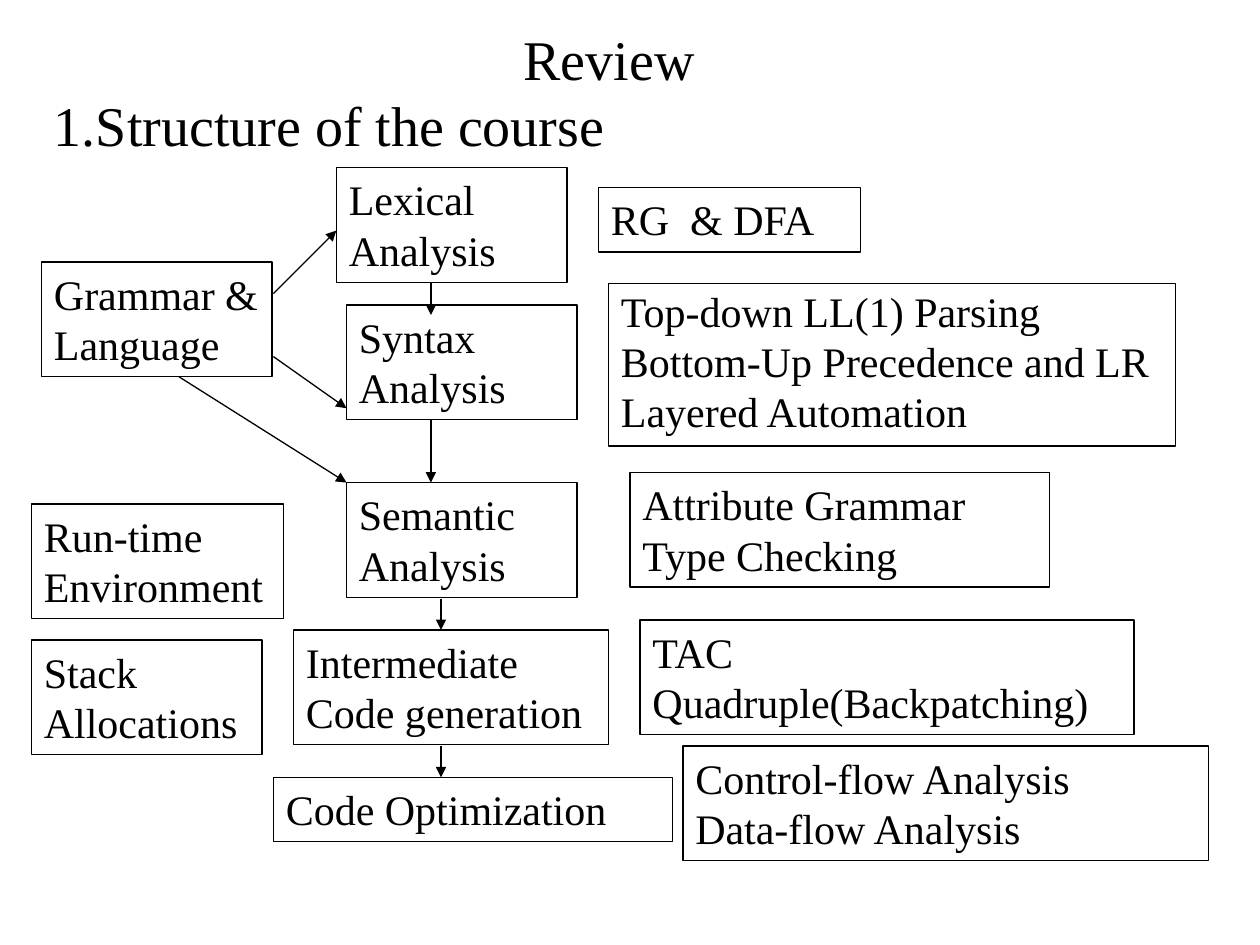
from dataclasses import dataclass

from lxml import etree
from pptx import Presentation
from pptx.dml.color import RGBColor
from pptx.enum.shapes import MSO_CONNECTOR, MSO_SHAPE
from pptx.enum.text import MSO_ANCHOR, MSO_AUTO_SIZE, PP_ALIGN
from pptx.oxml.ns import qn
from pptx.util import Inches, Pt


@dataclass(frozen=True)
class Theme:
    font: str = "Times New Roman"
    ink: RGBColor = RGBColor(0, 0, 0)
    heading_size: Pt = Pt(32)
    box_size: Pt = Pt(24)
    line_width: Pt = Pt(0.75)


class CourseSlide:
    def __init__(self, slide, theme):
        self.slide = slide
        self.theme = theme

    def add_text(self, paragraph, text, size):
        run = paragraph.add_run()
        run.text = text
        run.font.name = self.theme.font
        run.font.size = size
        run.font.color.rgb = self.theme.ink

    def title(self, text, left, top, width, height):
        heading = self.slide.shapes.title
        heading.left, heading.top = Inches(left), Inches(top)
        heading.width, heading.height = Inches(width), Inches(height)
        frame = heading.text_frame
        frame.auto_size = MSO_AUTO_SIZE.NONE
        frame.vertical_anchor = MSO_ANCHOR.MIDDLE
        frame.paragraphs[0].alignment = PP_ALIGN.CENTER
        self.add_text(frame.paragraphs[0], text, self.theme.heading_size)

    def subtitle(self, text, left, top, width, height):
        heading = self.slide.shapes.add_textbox(
            Inches(left), Inches(top), Inches(width), Inches(height))
        heading.text_frame.word_wrap = True
        self.add_text(heading.text_frame.paragraphs[0], text, self.theme.heading_size)

    def box(self, lines, left, top, width, height, spacing=None, gap=0):
        """Outlined box with one paragraph for each line."""
        outline = self.slide.shapes.add_shape(
            MSO_SHAPE.RECTANGLE,
            Inches(left), Inches(top), Inches(width), Inches(height))
        outline.shadow.inherit = False
        outline.fill.background()
        outline.line.color.rgb = self.theme.ink
        outline.line.width = self.theme.line_width
        frame = outline.text_frame
        frame.word_wrap = True
        frame.vertical_anchor = MSO_ANCHOR.TOP
        for index, line in enumerate(lines):
            paragraph = frame.add_paragraph() if index else frame.paragraphs[0]
            paragraph.alignment = PP_ALIGN.LEFT
            paragraph.line_spacing = spacing
            if index:
                paragraph.space_before = Pt(gap)
            self.add_text(paragraph, line, self.theme.box_size)

    def arrow(self, start, end):
        connector = self.slide.shapes.add_connector(
            MSO_CONNECTOR.STRAIGHT, *map(Inches, start + end))
        connector.line.color.rgb = self.theme.ink
        connector.line.width = self.theme.line_width
        properties = connector._element.spPr
        etree.SubElement(properties.find(qn("a:ln")), qn("a:tailEnd"), type="triangle")
        etree.SubElement(properties, qn("a:effectLst"))


ONE_LINE, TWO_LINES = 0.51, 0.91

# Text, left, top, width, height
PHASES = [
    ("Lexical Analysis", 2.67, 1.33, 1.83, TWO_LINES),
    ("Syntax Analysis", 2.75, 2.42, 1.83, TWO_LINES),
    ("Semantic Analysis", 2.75, 3.83, 1.83, TWO_LINES),
    ("Intermediate Code generation", 2.33, 5, 2.5, TWO_LINES),
    ("Code Optimization", 2.17, 6.17, 3.17, ONE_LINE),
]
FOUNDATIONS = [
    ("Grammar & Language", 0.33, 2.08, 1.83, TWO_LINES),
    ("Run-time Environment", 0.25, 4, 2, TWO_LINES),
    ("Stack Allocations", 0.25, 5.08, 1.83, TWO_LINES),
]
TOPICS = [
    (["RG  & DFA"], 4.75, 1.49, 2.08, ONE_LINE),
    (["Attribute Grammar", "Type Checking"], 5, 3.75, 3.33, TWO_LINES),
    (["TAC", "Quadruple(Backpatching)"], 5.08, 4.92, 3.92, TWO_LINES),
    (["Control-flow Analysis", "Data-flow Analysis"], 5.42, 5.92, 4.17, TWO_LINES),
]
PARSING = ["Top-down LL(1) Parsing", "Bottom-Up Precedence and LR", "Layered Automation"]

# x, top, bottom of the arrows between phases
PHASE_STEPS = [(3.42, 2.24, 2.5), (3.42, 3.33, 3.83), (3.5, 4.75, 5), (3.5, 5.92, 6.17)]
GRAMMAR_LINKS = [
    ((2.17, 2.33), (2.67, 1.83)),
    ((2.17, 2.83), (2.75, 3.24)),
    ((1.42, 2.99), (2.75, 3.83)),
]


def main():
    deck = Presentation()
    deck.slide_width, deck.slide_height = Inches(10), Inches(7.5)
    title_only = deck.slide_layouts[5]
    course = CourseSlide(deck.slides.add_slide(title_only), Theme())

    # Headings
    course.title("Review", 0.75, 0.17, 8.17, 0.58)
    course.subtitle("1.Structure of the course", 0.33, 0.67, 9, 0.63)

    # Compiler phases and their foundations
    for text, *place in PHASES + FOUNDATIONS:
        course.box([text], *place)

    # Topics taught for each phase
    for lines, *place in TOPICS:
        course.box(lines, *place)
    course.box(PARSING, 4.83, 2.25, 4.5, 1.29, spacing=0.95, gap=1.2)

    # Arrows
    for x, top, bottom in PHASE_STEPS:
        course.arrow((x, top), (x, bottom))
    for start, end in GRAMMAR_LINKS:
        course.arrow(start, end)

    deck.save("out.pptx")


if __name__ == "__main__":
    main()
